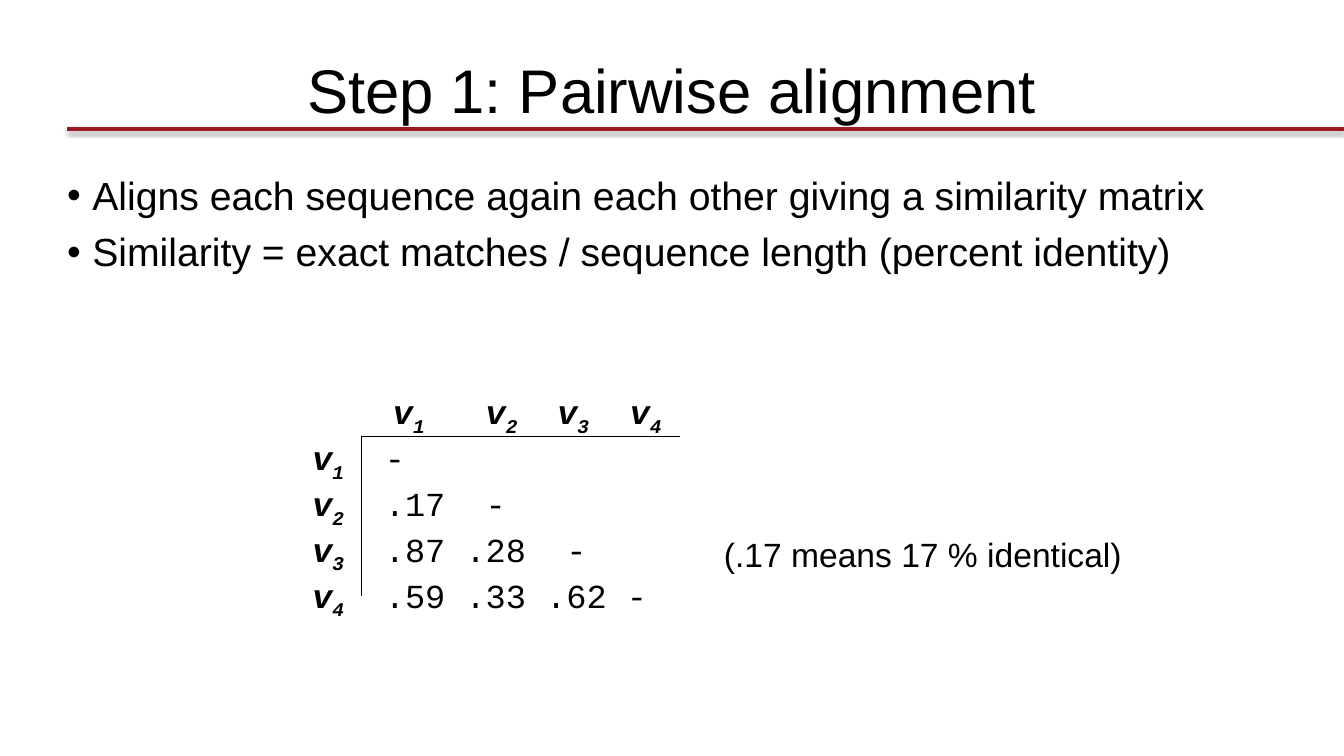
from pptx import Presentation
from pptx.dml.color import RGBColor
from pptx.enum.shapes import MSO_CONNECTOR
from pptx.enum.text import MSO_ANCHOR, MSO_AUTO_SIZE, PP_ALIGN
from pptx.oxml.ns import qn
from pptx.util import Inches, Pt
from lxml.etree import SubElement

CELL = Inches(1) / 12
COLS, ROWS = 160, 90
HUES = {"ink": "000000", "rule": "9D1924"}
FLUSH = {"margin_left": 0, "margin_top": 0, "margin_right": 0,
         "margin_bottom": 0, "word_wrap": True, "auto_size": MSO_AUTO_SIZE.NONE}
WRAP = {"word_wrap": True}
SANS = {"name": "Arial", "size": Pt(28)}
NOTE = {**SANS, "size": Pt(24)}
BIG = {**SANS, "size": Pt(44)}
MONO = {"name": "Courier New", "size": Pt(24)}
LABEL = {**MONO, "bold": True, "italic": True}
VALUES = [[], [".17"], [".87", ".28"], [".59", ".33", ".62"]]


def grid(*cells):
    return [round(n * CELL) for n in cells]


def apply(item, look):
    for key, val in look.items():
        setattr(item, key, val)


def write(para, text, look, base=None):
    run = para.add_run()
    run.text = text
    apply(run.font, look)
    run.font.color.rgb = RGBColor.from_string(HUES["ink"])
    if base:
        run.font._element.set("baseline", str(base))


def draw_line(shapes, ends, hue, width, shade=False):
    line = shapes.add_connector(MSO_CONNECTOR.STRAIGHT, *grid(*ends))
    line.line.color.rgb = RGBColor.from_string(HUES[hue])
    line.line.width = Pt(width)
    fx = SubElement(line.element.spPr, qn("a:effectLst"))
    if shade:
        cast = SubElement(fx, qn("a:outerShdw"), blurRad=str(Pt(3.1)),
                          dist=str(Pt(1.6)), dir="5400000", rotWithShape="0")
        tint = SubElement(cast, qn("a:srgbClr"), val=HUES["ink"])
        SubElement(tint, qn("a:alpha"), val="38000")
    return line


def add_head(slide, box, text):
    x, y, w, h = box
    title = slide.shapes.title
    apply(title, dict(zip(("left", "top", "width", "height"), grid(*box))))
    frame = title.text_frame
    apply(frame, {**FLUSH, "vertical_anchor": MSO_ANCHOR.MIDDLE})
    para = frame.paragraphs[0]
    apply(para, {"alignment": PP_ALIGN.CENTER, "line_spacing": 0.9})
    write(para, text, BIG)
    low = y + 0.785 * h
    rule = draw_line(slide.shapes, (x, low, COLS, low), "rule", 3, True)
    title.element.addprevious(rule.element)


def add_list(slide, box, items):
    frame = slide.shapes.add_textbox(*grid(*box)).text_frame
    apply(frame, FLUSH)
    for i, text in enumerate(items):
        para = frame.add_paragraph() if i else frame.paragraphs[0]
        apply(para, {"line_spacing": 0.9, "space_before": Pt(10)})
        props = para._p.get_or_add_pPr()
        props.set("marL", str(Inches(0.25)))
        props.set("indent", str(-Inches(0.25)))
        SubElement(props, qn("a:buFont"), typeface="Arial")
        SubElement(props, qn("a:buChar"), char="•")
        write(para, text, SANS)


def set_tabs(para, stops):
    tabs = SubElement(para._p.get_or_add_pPr(), qn("a:tabLst"))
    for stop in stops:
        SubElement(tabs, qn("a:tab"), pos=str(Inches(stop)), algn="l")


def add_label(para, num, lead=""):
    write(para, lead + "v", LABEL)
    write(para, str(num), LABEL, -25000)


def add_matrix(slide, box, rows):
    x, y, w, h = box
    group = slide.shapes.add_group_shape().shapes
    frame = group.add_textbox(*grid(*box)).text_frame
    apply(frame, WRAP)
    head = frame.paragraphs[0]
    set_tabs(head, [0.8, 1.72, 2.43, 3.15])
    for num in range(1, len(rows) + 1):
        add_label(head, num, "\t")
    cols = [0.72 + 0.8 * i for i in range(len(rows))]
    dash = [0.72, 1.72, 2.52, 3.12]
    for i, vals in enumerate(rows):
        para = frame.add_paragraph()
        set_tabs(para, cols[:i] + [dash[i]])
        add_label(para, i + 1)
        write(para, "".join("\t" + val for val in [*vals, "-"]), MONO)
    left, top = x + 7, y + 6
    draw_line(group, (left, top, left, top + 19), "ink", 0.75)
    draw_line(group, (left, top, left + 38, top), "ink", 0.75)


def add_note(slide, box, text):
    frame = slide.shapes.add_textbox(*grid(*box)).text_frame
    apply(frame, WRAP)
    write(frame.paragraphs[0], text, NOTE)


def main():
    deck = Presentation()
    deck.slide_width, deck.slide_height = grid(COLS, ROWS)
    slide = deck.slides.add_slide(deck.slide_layouts[5])
    add_head(slide, (8, 3.6, 144, 15), "Step 1: Pairwise alignment")
    add_list(slide, (8, 21, 144, 52.2), [
        "Aligns each sequence again each other giving a similarity matrix",
        "Similarity = exact matches / sequence length (percent identity)"])
    add_matrix(slide, (36, 46, 45.2, 25.4), VALUES)
    add_note(slide, (85, 63, 50.3, 6), "(.17 means 17 % identical)")
    deck.save("out.pptx")


if __name__ == "__main__":
    main()
